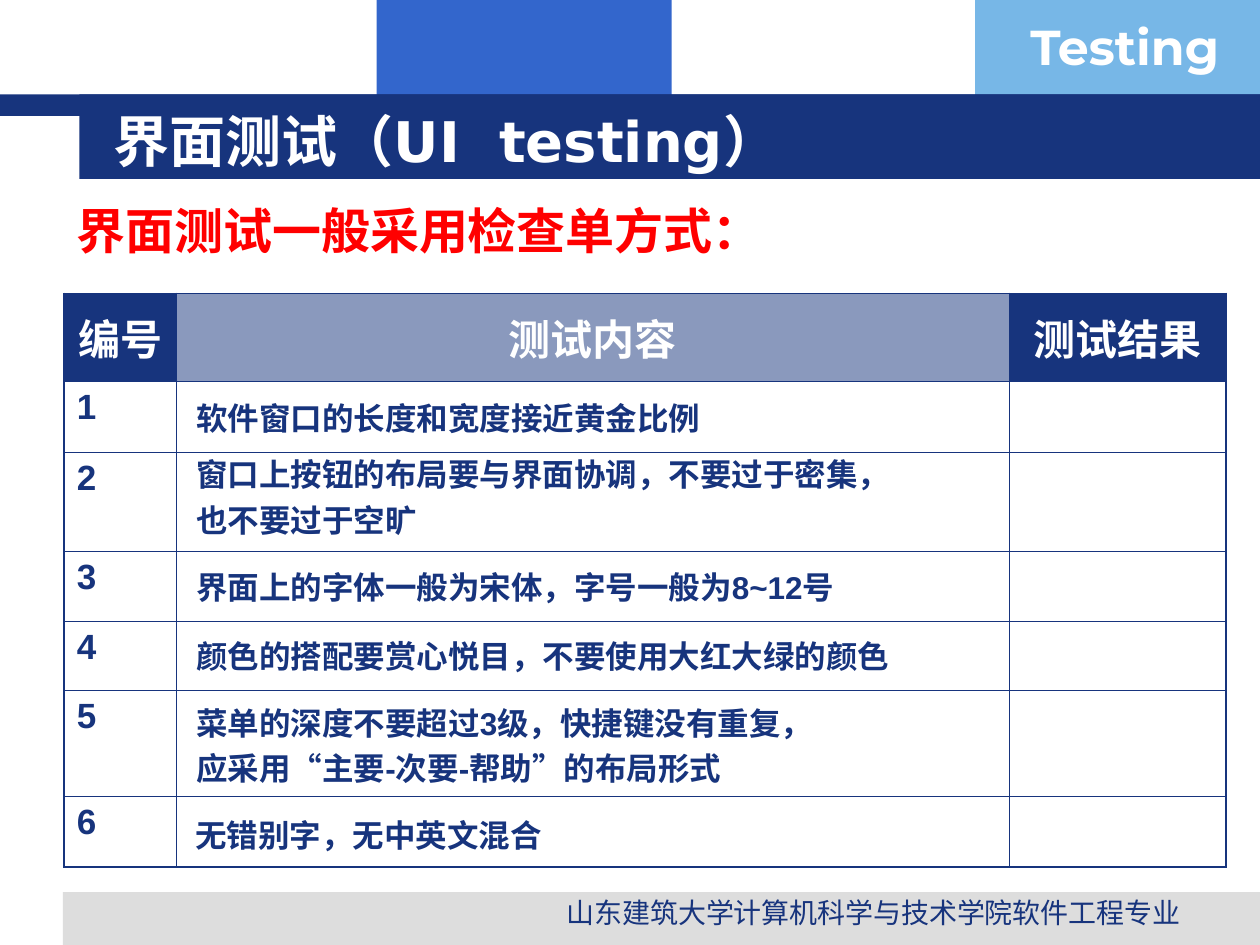
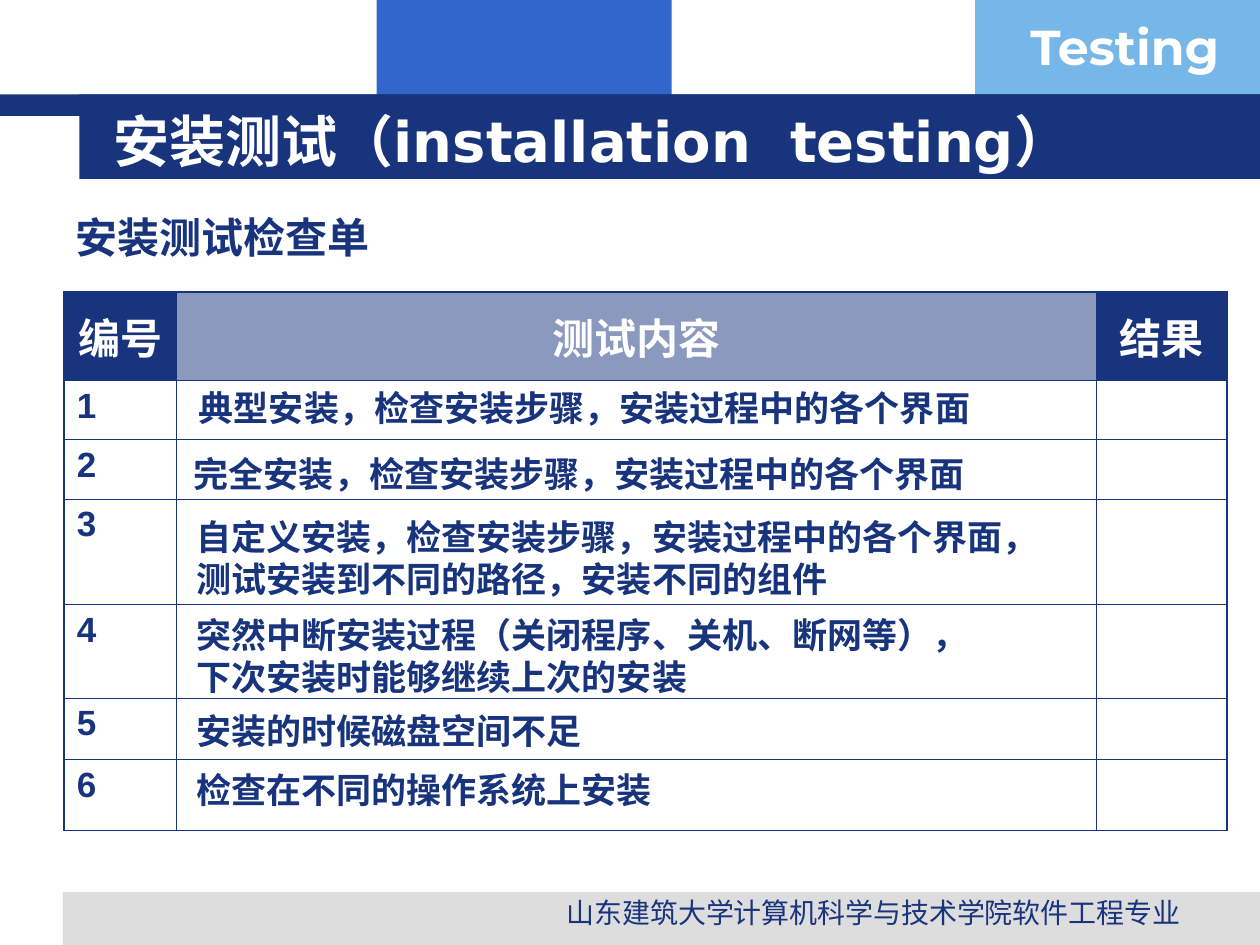
from dataclasses import dataclass

from lxml.etree import SubElement
from pptx import Presentation
from pptx.dml.color import RGBColor
from pptx.enum.shapes import MSO_SHAPE
from pptx.enum.text import MSO_ANCHOR as Anchor, PP_ALIGN as Align
from pptx.oxml.ns import qn
from pptx.slide import Slide
from pptx.table import _Cell as Cell
from pptx.text.text import TextFrame
from pptx.util import Inches, Pt

COLORS = {
    "navy": "17347D",
    "blue": "3366CC",
    "sky": "77B7E7",
    "gray": "DDDDDD",
    "red": "FF0000",
    "white": "FFFFFF",
}
THIN, THICK = Pt(0.45), Pt(1.08)


@dataclass(frozen=True)
class Box:
    left: float
    top: float
    width: float
    height: float

    def lengths(self) -> list[int]:
        return [Inches(n) for n in (self.left, self.top, self.width, self.height)]


@dataclass(frozen=True)
class TextStyle:
    size: float
    color: str = "navy"
    bold: bool = True
    font: str = "Arial"
    align: Align = Align.LEFT
    space_before: float = 0
    line_spacing: float | None = None


@dataclass(frozen=True)
class Band:
    box: Box
    color: str


@dataclass(frozen=True)
class CheckItem:
    box: Box
    lines: tuple[str, ...]
    align: Align = Align.LEFT


@dataclass(frozen=True)
class Checklist:
    title: str
    subtitle: str
    subtitle_box: Box
    subtitle_style: TextStyle
    table_top: float
    headers: tuple[str, str, str]
    column_widths: tuple[float, ...]
    row_heights: tuple[float, ...]
    bottom_border: int
    item_size: float
    item_gap: float
    items: tuple[CheckItem, ...]


BANDS = (
    Band(Box(2.99, 0, 2.34, 0.92), "blue"),
    Band(Box(7.74, 0, 2.26, 0.92), "sky"),
    Band(Box(0.5, 7.08, 9.5, 0.42), "gray"),
    Band(Box(0, 0.75, 10, 0.17), "navy"),
    Band(Box(0.63, 0.75, 9.37, 0.67), "navy"),
)
TITLE_BOX = Box(0.8, 0.8, 8.53, 0.62)
TITLE_STYLE = TextStyle(32, "white", font="DejaVu Sans")
COURSE_BOX = Box(8.08, 0.08, 1.93, 0.57)
COURSE_STYLE = TextStyle(28, "white", font="Montserrat")
FOOTER_BOX = Box(4.06, 7.06, 5.75, 0.31)
FOOTER_STYLE = TextStyle(16, bold=False, align=Align.CENTER)
HEADER_STYLE = TextStyle(24, "white", align=Align.CENTER)
NUMBER_STYLE = TextStyle(20)

CHECKLISTS = (
    Checklist(
        title="界面测试（UI  testing）",
        subtitle="界面测试一般采用检查单方式：",
        subtitle_box=Box(0.51, 1.63, 7.57, 0.47),
        subtitle_style=TextStyle(28, "red", line_spacing=0.8),
        table_top=2.33,
        headers=("编号", "测试内容", "测试结果"),
        column_widths=(0.89, 6.61, 1.72),
        row_heights=(0.7, 0.56, 0.79, 0.55, 0.55, 0.84, 0.56),
        bottom_border=THICK,
        item_size=18,
        item_gap=4.5,
        items=(
            CheckItem(Box(1.46, 3.12, 6.22, 0.39), ("软件窗口的长度和宽度接近黄金比例",)),
            CheckItem(Box(1.46, 3.67, 6.14, 0.55),
                      ("窗口上按钮的布局要与界面协调，不要过于密集，", "也不要过于空旷")),
            CheckItem(Box(1.46, 4.46, 6.22, 0.39),
                      ("界面上的字体一般为宋体，字号一般为8~12号",)),
            CheckItem(Box(1.46, 5.01, 6.22, 0.39),
                      ("颜色的搭配要赏心悦目，不要使用大红大绿的颜色",)),
            CheckItem(Box(1.46, 5.64, 6.22, 0.55),
                      ("菜单的深度不要超过3级，快捷键没有重复，",
                       "应采用“主要-次要-帮助”的布局形式")),
            CheckItem(Box(1.45, 6.43, 6.22, 0.39), ("无错别字，无中英文混合",)),
        ),
    ),
    Checklist(
        title="安装测试（installation  testing）",
        subtitle="安装测试检查单",
        subtitle_box=Box(0.5, 1.55, 4.11, 0.62),
        subtitle_style=TextStyle(24, line_spacing=1.2),
        table_top=2.32,
        headers=("编号", "测试内容", "结果"),
        column_widths=(0.89, 7.3, 1.04),
        row_heights=(0.7, 0.47, 0.47, 0.84, 0.74, 0.49, 0.56),
        bottom_border=THIN,
        item_size=20,
        item_gap=0,
        items=(
            CheckItem(Box(1.39, 3.04, 6.5, 0.39),
                      ("典型安装，检查安装步骤，安装过程中的各个界面",), Align.CENTER),
            CheckItem(Box(1.35, 3.52, 6.5, 0.47),
                      ("完全安装，检查安装步骤，安装过程中的各个界面",), Align.CENTER),
            CheckItem(Box(1.46, 4.15, 6.77, 0.55),
                      ("自定义安装，检查安装步骤，安装过程中的各个界面，",
                       "测试安装到不同的路径，安装不同的组件")),
            CheckItem(Box(1.46, 4.93, 6.77, 0.55),
                      ("突然中断安装过程（关闭程序、关机、断网等），",
                       "下次安装时能够继续上次的安装")),
            CheckItem(Box(1.46, 5.56, 6.3, 0.47), ("安装的时候磁盘空间不足",)),
            CheckItem(Box(1.46, 6.03, 6.3, 0.47), ("检查在不同的操作系统上安装",)),
        ),
    ),
)


def rgb(color: str) -> RGBColor:
    return RGBColor.from_string(COLORS[color])


def write_text(frame: TextFrame, lines: tuple[str, ...], style: TextStyle) -> None:
    for index, line in enumerate(lines):
        paragraph = frame.add_paragraph() if index else frame.paragraphs[0]
        paragraph.text = line
        paragraph.alignment = style.align
        paragraph.line_spacing = style.line_spacing
        paragraph.space_before = Pt(style.space_before if index else 0)
        paragraph.font.name = style.font
        paragraph.font.size = Pt(style.size)
        paragraph.font.bold = style.bold
        paragraph.font.color.rgb = rgb(style.color)


def add_text(slide: Slide, box: Box, lines: tuple[str, ...], style: TextStyle,
             wrap: bool = True, anchor: Anchor = Anchor.TOP) -> None:
    frame = slide.shapes.add_textbox(*box.lengths()).text_frame
    frame.word_wrap = wrap
    frame.vertical_anchor = anchor
    write_text(frame, lines, style)


def add_band(slide: Slide, band: Band) -> None:
    shape = slide.shapes.add_shape(MSO_SHAPE.RECTANGLE, *band.box.lengths())
    shape.shadow.inherit = False
    shape.fill.solid()
    shape.fill.fore_color.rgb = rgb(band.color)
    shape.line.fill.background()


def add_frame(slide: Slide, title_text: str) -> None:
    for band in BANDS:
        add_band(slide, band)
    add_text(slide, COURSE_BOX, ("Testing",), COURSE_STYLE)
    add_text(slide, FOOTER_BOX, ("山东建筑大学计算机科学与技术学院软件工程专业",), FOOTER_STYLE)
    title = slide.shapes.title
    title.left, title.top, title.width, title.height = TITLE_BOX.lengths()
    title.text_frame.vertical_anchor = Anchor.MIDDLE
    write_text(title.text_frame, (title_text,), TITLE_STYLE)
    title.element.getparent().append(title.element)


def set_borders(cell: Cell, widths: dict[str, int]) -> None:
    properties = cell._tc.get_or_add_tcPr()
    for side, width in widths.items():
        line = SubElement(properties, qn(f"a:ln{side}"), w=str(width))
        fill = SubElement(line, qn("a:solidFill"))
        SubElement(fill, qn("a:srgbClr"), val=COLORS["navy"])


def fill_header(cell: Cell, translucent: bool) -> None:
    cell.fill.solid()
    cell.fill.fore_color.rgb = rgb("navy")
    if translucent:
        color = cell._tc.tcPr.find(f"{qn('a:solidFill')}/{qn('a:srgbClr')}")
        SubElement(color, qn("a:alpha"), val="50000")


def add_check_table(slide: Slide, checklist: Checklist) -> None:
    widths, heights = checklist.column_widths, checklist.row_heights
    box = Box(0.51, checklist.table_top, sum(widths), sum(heights))
    table = slide.shapes.add_table(len(heights), len(widths), *box.lengths()).table
    table.first_row = table.horz_banding = False
    for column, width in zip(table.columns, widths):
        column.width = Inches(width)
    last_row, last_column = len(heights) - 1, len(widths) - 1
    for row_index, height in enumerate(heights):
        table.rows[row_index].height = Inches(height)
        for column_index in range(len(widths)):
            cell = table.cell(row_index, column_index)
            set_borders(cell, {
                "L": THICK if column_index == 0 else THIN,
                "R": THICK if column_index == last_column else THIN,
                "T": THICK if row_index == 0 else THIN,
                "B": checklist.bottom_border if row_index == last_row else THIN,
            })
            if row_index == 0:
                fill_header(cell, translucent=column_index == 1)
                cell.vertical_anchor = Anchor.MIDDLE
                write_text(cell.text_frame, (checklist.headers[column_index],), HEADER_STYLE)
                continue
            cell.fill.background()
            if column_index == 0:
                write_text(cell.text_frame, (str(row_index),), NUMBER_STYLE)


def add_checklist(slide: Slide, checklist: Checklist) -> None:
    add_frame(slide, checklist.title)
    add_text(slide, checklist.subtitle_box, (checklist.subtitle,), checklist.subtitle_style)
    add_check_table(slide, checklist)
    for item in checklist.items:
        style = TextStyle(checklist.item_size, align=item.align,
                          space_before=checklist.item_gap)
        add_text(slide, item.box, item.lines, style, wrap=False, anchor=Anchor.MIDDLE)


def main() -> None:
    presentation = Presentation()
    presentation.slide_width, presentation.slide_height = Inches(10), Inches(7.5)
    title_only = presentation.slide_layouts[5]
    for checklist in CHECKLISTS:
        add_checklist(presentation.slides.add_slide(title_only), checklist)
    presentation.save("out.pptx")


if __name__ == "__main__":
    main()
